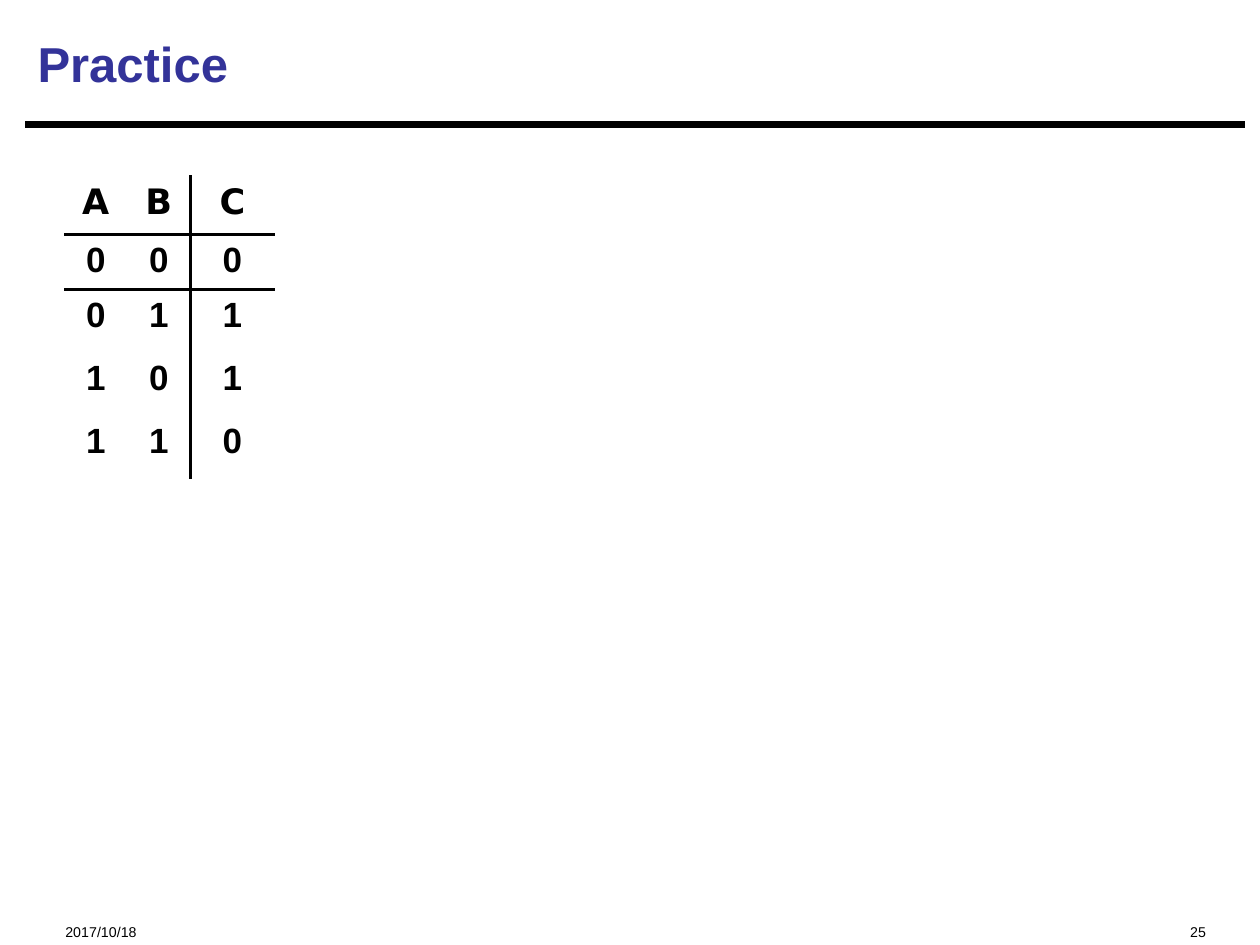
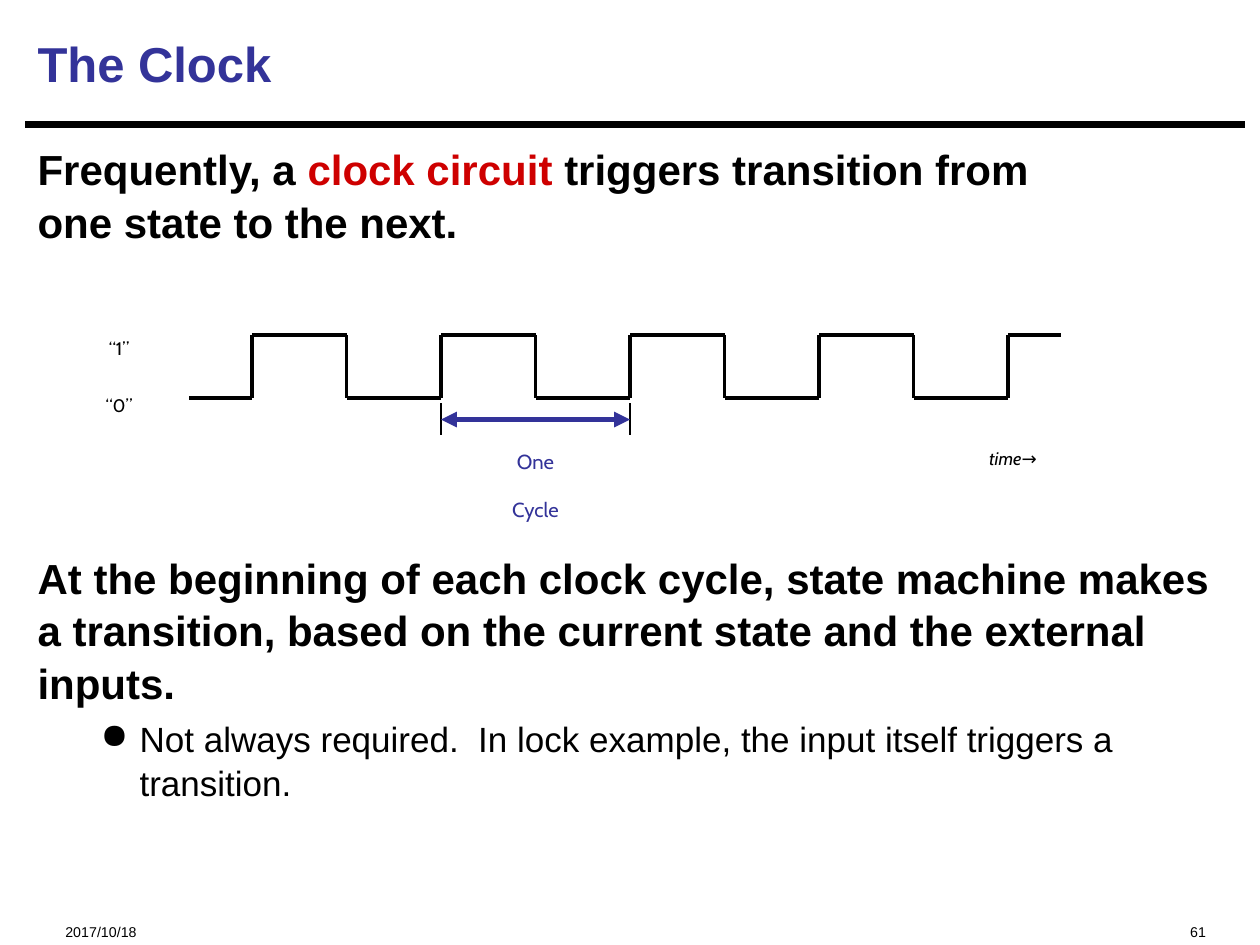
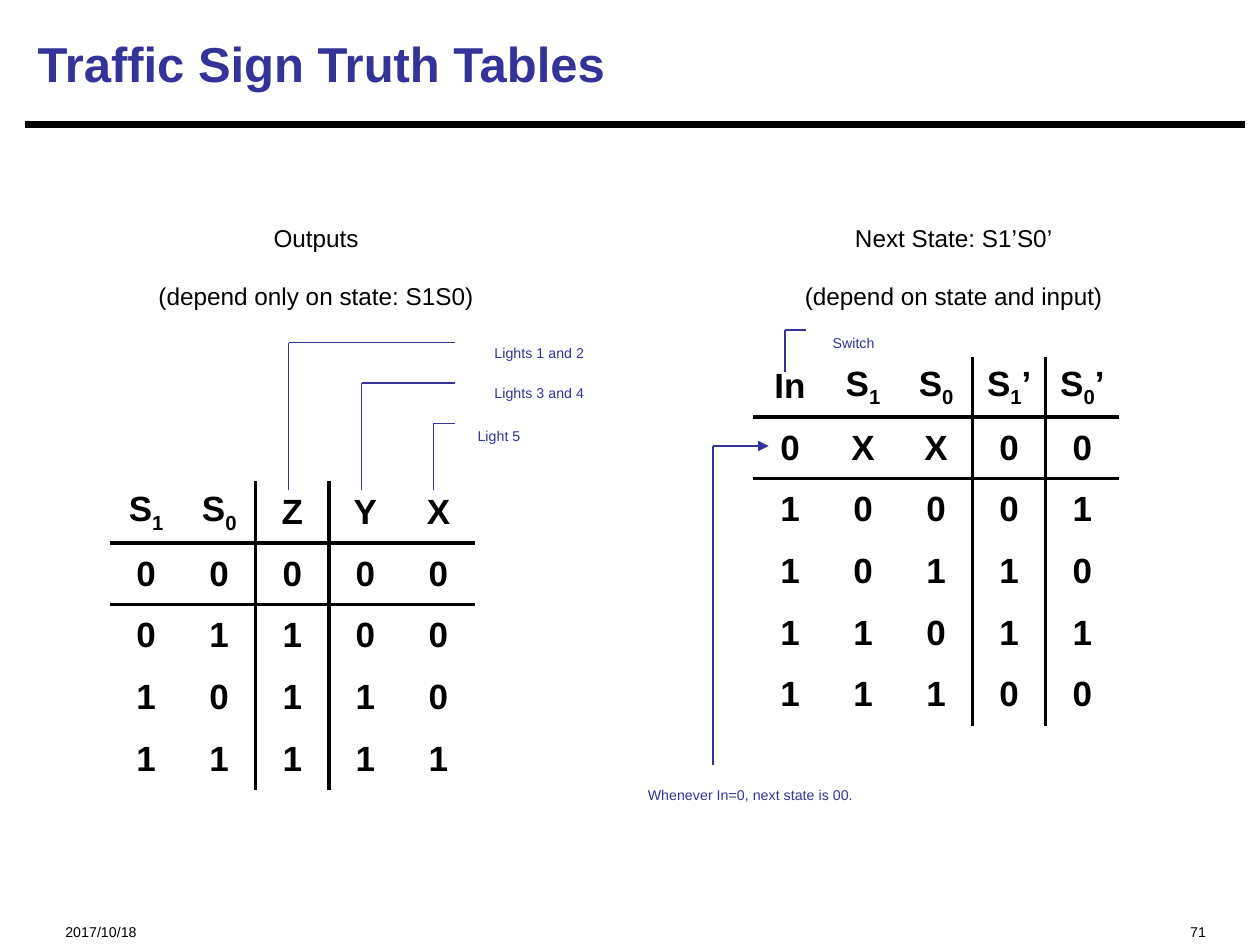
from itertools import pairwise

from lxml import etree
from pptx import Presentation
from pptx.dml.color import RGBColor
from pptx.enum.shapes import MSO_CONNECTOR
from pptx.enum.text import MSO_ANCHOR, MSO_AUTO_SIZE, PP_ALIGN
from pptx.oxml.ns import qn
from pptx.util import Inches, Pt

STRAIGHT = MSO_CONNECTOR.STRAIGHT
LEFT, CENTER, RIGHT = PP_ALIGN.LEFT, PP_ALIGN.CENTER, PP_ALIGN.RIGHT
TOP, MIDDLE = MSO_ANCHOR.TOP, MSO_ANCHOR.MIDDLE
GROW, FIXED = MSO_AUTO_SIZE.SHAPE_TO_FIT_TEXT, MSO_AUTO_SIZE.NONE

BLACK = RGBColor(0x00, 0x00, 0x00)
INDIGO = RGBColor(0x33, 0x33, 0x99)
RED = RGBColor(0xCE, 0x00, 0x00)

SUBSCRIPT = "-25000"
NO_STYLE_NO_GRID = "{2D5ABB26-0587-4C30-8999-92F81FD0307C}"
DATE = "2017/10/18"


# Text
def write(paragraph, text, size=14, font="Arial", color=BLACK, bold=False,
          italic=False, lowered=False, align=LEFT):
    """Append text to a paragraph; a newline becomes a line break."""
    paragraph.alignment = align
    for number, line in enumerate(text.split("\n")):
        if number:
            paragraph.add_line_break()
        run = paragraph.add_run()
        run.text = line
        run.font.name = font
        run.font.size = Pt(size)
        run.font.bold = bold
        run.font.italic = italic
        run.font.color.rgb = color
        if lowered:
            run.font._element.set("baseline", SUBSCRIPT)


def add_frame(slide, left, top, width, height, anchor=TOP, grow=False):
    box = slide.shapes.add_textbox(Inches(left), Inches(top),
                                   Inches(width), Inches(height))
    frame = box.text_frame
    frame.word_wrap = not grow
    frame.auto_size = GROW if grow else FIXED
    frame.vertical_anchor = anchor
    return frame


def add_label(slide, at, *lines, **text_format):
    """Small centred text, set in lowered type, that sizes its own box."""
    frame = add_frame(slide, *at, grow=True)
    for number, line in enumerate(lines):
        paragraph = frame.add_paragraph() if number else frame.paragraphs[0]
        write(paragraph, line, lowered=True, align=CENTER, **text_format)


def add_bullet(paragraph, symbol, margin, indent):
    properties = paragraph._p.get_or_add_pPr()
    properties.set("marL", str(Inches(margin)))
    properties.set("indent", str(Inches(indent)))
    etree.SubElement(properties, qn("a:buChar")).set("char", symbol)


# Lines
def add_line(slide, start, end, color=BLACK, width=2.25, arrows=()):
    line = slide.shapes.add_connector(STRAIGHT, *map(Inches, start + end))
    line.line.color.rgb = color
    line.line.width = Pt(width)
    for arrow in arrows:
        etree.SubElement(line.line._get_or_add_ln(), qn(arrow)).set("type", "triangle")
    etree.SubElement(line._element.spPr, qn("a:effectLst"))


def add_leader(slide, *points, arrows=()):
    """Thin bent line; arrowheads apply to its last part."""
    parts = list(pairwise(points))
    for start, end in parts:
        add_line(slide, start, end, INDIGO, 0.75,
                 arrows if (start, end) == parts[-1] else ())


# Truth tables
def add_border(cell, side):
    border = etree.SubElement(cell._tc.get_or_add_tcPr(), qn(side), w=str(Pt(2.25)))
    fill = etree.SubElement(border, qn("a:solidFill"))
    etree.SubElement(fill, qn("a:srgbClr"), val=str(BLACK))


def add_truth_table(slide, left, top, widths, heights, rows, inputs,
                    anchor=MIDDLE, header_font="Arial"):
    """Each row is a string of cells; in a cell, _ lowers the next character."""
    table = slide.shapes.add_table(
        len(heights), len(widths), Inches(left), Inches(top),
        Inches(sum(widths)), Inches(sum(heights))).table
    table.first_row = table.horz_banding = False
    table._tbl.tblPr.find(qn("a:tableStyleId")).text = NO_STYLE_NO_GRID
    for column, width in zip(table.columns, widths):
        column.width = Inches(width)
    for row, height in zip(table.rows, heights):
        row.height = Inches(height)

    for r, values in enumerate(rows):
        for c, value in enumerate(values.split()):
            cell = table.cell(r, c)
            cell.vertical_anchor = anchor
            base, *lowered = value.split("_")
            style = {"size": 20, "bold": True, "align": CENTER,
                     "font": "Arial" if r else header_font}
            paragraph = cell.text_frame.paragraphs[0]
            write(paragraph, base, **style)
            for part in lowered:
                write(paragraph, part[0], lowered=True, **style)
                if part[1:]:
                    write(paragraph, part[1:], **style)
            # Rules divide inputs from outputs and header from values
            for side, wanted in (("a:lnL", c == inputs), ("a:lnR", c == inputs - 1),
                                 ("a:lnT", r == 1), ("a:lnB", r == 0)):
                if wanted:
                    add_border(cell, side)
            cell.fill.background()


# Slides
def add_base(deck, title, number):
    slide = deck.slides.add_slide(deck.slide_layouts[6])
    add_line(slide, (0.2, 0.99), (9.88, 0.99), width=3.75)
    write(add_frame(slide, 0.42, 7.15, 2.5, 0.27).paragraphs[0], DATE, lowered=True)
    write(add_frame(slide, 6.67, 7.15, 3, 0.27).paragraphs[0], number,
          lowered=True, align=RIGHT)
    write(add_frame(slide, 0.2, 0.08, 9.67, 0.84, MIDDLE).paragraphs[0], title,
          size=28, color=INDIGO, bold=True)
    return slide


def build_practice(deck):
    slide = add_base(deck, "Practice", "25")
    add_truth_table(slide, 0.51, 1.39, [0.5, 0.5, 0.67], [0.47, 0.44, 0.5, 0.5, 0.5],
                    ["A B C", "0 0 0", "0 1 1", "1 0 1", "1 1 0"],
                    inputs=2, anchor=TOP, header_font="DejaVu Sans")


def build_clock(deck):
    slide = add_base(deck, "The Clock", "61")

    # Explanation, with room for the signal between its paragraphs
    body = add_frame(slide, 0.2, 1.07, 9.67, 5.99)
    trigger, transition, exception = (
        body.paragraphs[0], body.add_paragraph(), body.add_paragraph())
    for paragraph in body.paragraphs:
        paragraph.line_spacing = 1.05
    for text, color in (("Frequently, a ", BLACK), ("clock circuit", RED),
                        (" triggers transition from\none state to the next.", BLACK)):
        write(trigger, text, size=24, bold=True, color=color)
    transition.space_before = Pt(173)
    write(transition, "At the beginning of each clock cycle, state machine makes a "
          "transition, based on the current state and the external inputs.",
          size=24, bold=True)
    exception.space_before = Pt(4)
    add_bullet(exception, "●", 0.81, -0.31)
    write(exception, "Not always required.  In lock example, the input itself "
          "triggers a transition.", size=20)

    # Square wave
    high, low = 2.66, 3.16
    edges = [2 + 0.75 * step for step in range(9)]
    for step, (start, end) in enumerate(pairwise([1.5, *edges, 8.42])):
        level = high if step % 2 else low
        add_line(slide, (start, level), (end, level))
    for edge in edges:
        add_line(slide, (edge, high), (edge, low))
    add_label(slide, (0.69, 2.46, 0.51, 0.4), "“1”", size=18, font="Cabin")
    add_label(slide, (0.69, 2.91, 0.51, 0.4), "“0”", size=18, font="Cabin")
    add_label(slide, (7.58, 3.33, 0.92, 0.4), "time→", size=18, font="Cabin", italic=True)

    # One cycle
    for limit in (3.5, 5):
        add_line(slide, (limit, 3.2), (limit, 3.45), width=0.75)
    add_line(slide, (3.5, 3.33), (5, 3.33), INDIGO, 3, ("a:headEnd", "a:tailEnd"))
    add_label(slide, (3.8, 3.33, 0.9, 0.77), "One", "Cycle",
              size=20, font="Cabin", color=INDIGO)


def build_traffic_sign(deck):
    slide = add_base(deck, "Traffic Sign Truth Tables", "71")
    widths = [0.58] * 5

    # Outputs
    add_label(slide, (0.31, 1.5, 4.4, 0.9), "Outputs",
              "(depend only on state: S1S0)", size=24)
    add_truth_table(slide, 0.87, 3.82, widths, [0.49] * 5,
                    ["S_1 S_0 Z Y X", "0 0 0 0 0", "0 1 1 0 0",
                     "1 0 1 1 0", "1 1 1 1 1"], inputs=2)
    for text, top, width, x, y in (("Lights 1 and 2", 2.55, 1.42, 2.29, 2.72),
                                   ("Lights 3 and 4", 2.87, 1.42, 2.87, 3.04),
                                   ("Light 5", 3.21, 0.78, 3.44, 3.36)):
        add_label(slide, (3.57, top, width, 0.33), text, color=INDIGO)
        add_leader(slide, (3.61, y), (x, y), (x, 3.89))

    # Next state
    add_label(slide, (5.43, 1.5, 4.28, 0.9),
              "Next State: S1’S0’\n(depend on state and input)", size=24)
    add_truth_table(slide, 5.98, 2.83, widths, [0.45] + [0.49] * 5,
                    ["In S_1 S_0 S_1’ S_0’", "0 X X 0 0", "1 0 0 0 1",
                     "1 0 1 1 0", "1 1 0 1 1", "1 1 1 0 0"], inputs=3)
    add_label(slide, (6.39, 2.47, 0.77, 0.33), "Switch", color=INDIGO)
    add_leader(slide, (6.4, 2.62), (6.23, 2.62), (6.23, 2.95))
    add_label(slide, (4.46, 6.06, 2.99, 0.33), "Whenever In=0, next state is 00.",
              color=INDIGO)
    add_leader(slide, (5.66, 6.07), (5.66, 3.54), (6.1, 3.54), arrows=("a:tailEnd",))


def main():
    deck = Presentation()
    deck.slide_width, deck.slide_height = Inches(10), Inches(7.5)
    build_practice(deck)
    build_clock(deck)
    build_traffic_sign(deck)
    deck.save("out.pptx")


if __name__ == "__main__":
    main()
